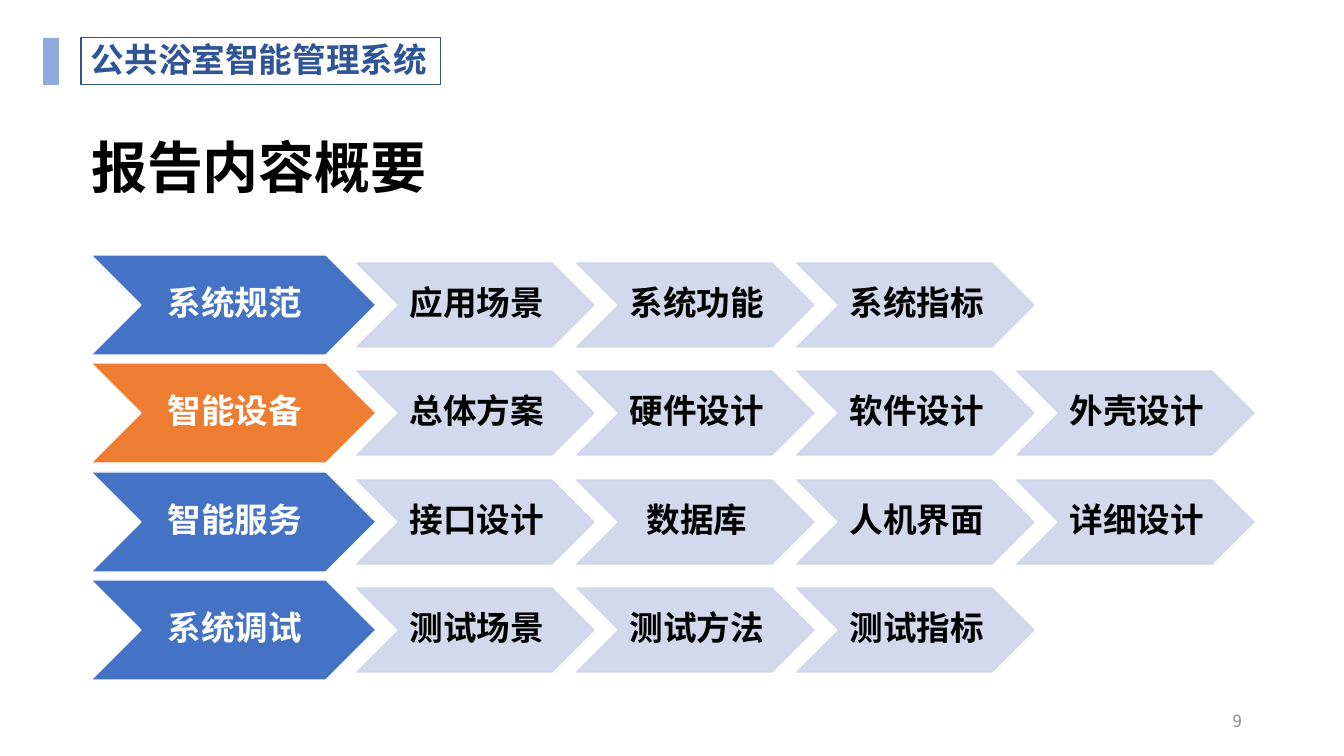
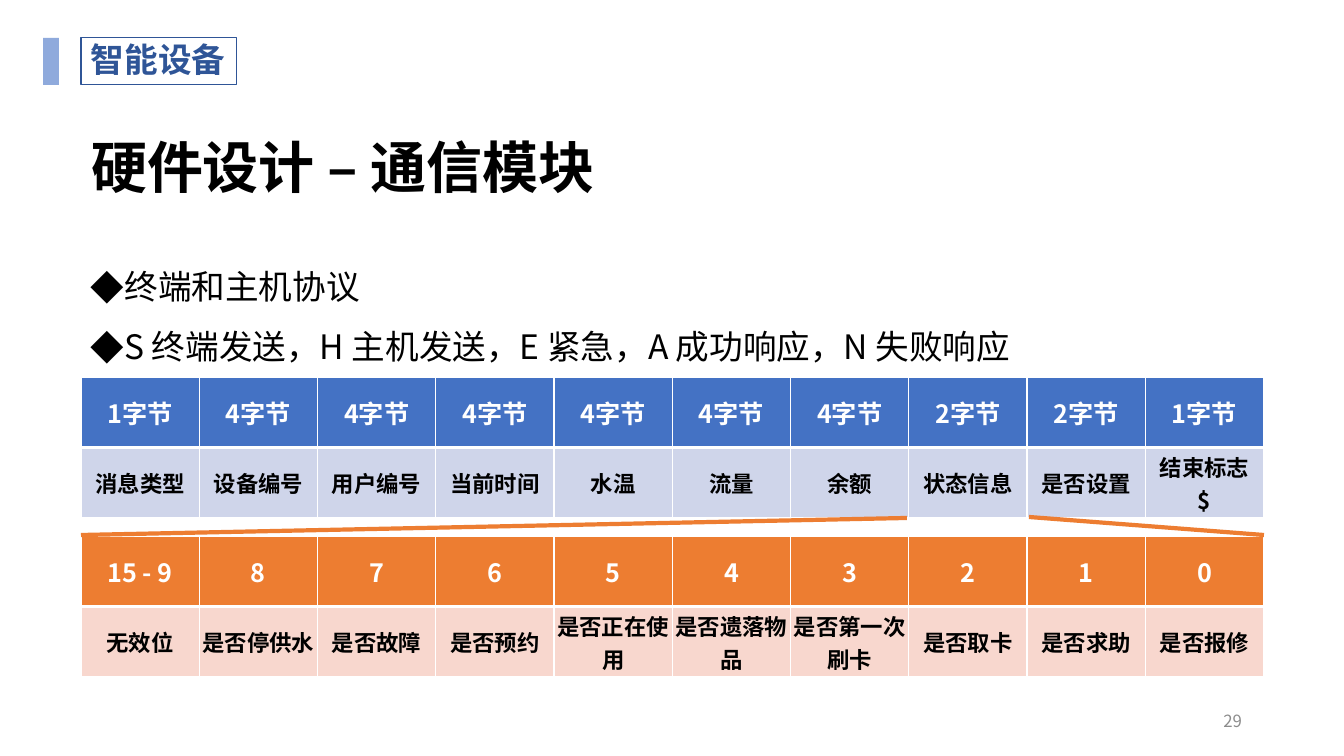
from lxml import etree
from pptx import Presentation
from pptx.dml.color import RGBColor
from pptx.enum.shapes import MSO_CONNECTOR, MSO_SHAPE
from pptx.enum.text import MSO_ANCHOR, MSO_AUTO_SIZE, PP_ALIGN
from pptx.oxml.ns import qn
from pptx.util import Emu, Pt

SLIDE_WIDTH, SLIDE_HEIGHT = 1344, 756
EMU_PER_PX = 12192000 / SLIDE_WIDTH
FONT = "Noto Sans CJK SC"
TITLE_FONT = "Arial"

BLACK = RGBColor(0x00, 0x00, 0x00)
WHITE = RGBColor(0xFF, 0xFF, 0xFF)
GRAY = RGBColor(0x8C, 0x8C, 0x8C)
BLUE = RGBColor(0x44, 0x72, 0xC4)
DARK_BLUE = RGBColor(0x2F, 0x55, 0x97)
LIGHT_BLUE = RGBColor(0x8F, 0xAA, 0xDC)
PALE_BLUE = RGBColor(0xCF, 0xD5, 0xEA)
ORANGE = RGBColor(0xED, 0x7D, 0x31)
PALE_ORANGE = RGBColor(0xF8, 0xD7, 0xCE)

RECTANGLE = MSO_SHAPE.RECTANGLE
CHEVRON = MSO_SHAPE.CHEVRON
STRAIGHT = MSO_CONNECTOR.STRAIGHT
MIDDLE = MSO_ANCHOR.MIDDLE
NO_AUTOFIT = MSO_AUTO_SIZE.NONE
LEFT, CENTER, RIGHT, JUSTIFY = PP_ALIGN.LEFT, PP_ALIGN.CENTER, PP_ALIGN.RIGHT, PP_ALIGN.JUSTIFY


def px(*lengths):
    return [Emu(round(length * EMU_PER_PX)) for length in lengths]


def style(paragraph, size, color, bold=False, alignment=LEFT, latin=FONT):
    paragraph.alignment = alignment
    font = paragraph.font
    font.size, font.bold, font.name = Pt(size), bold, latin
    font.color.rgb = color
    properties = paragraph._p.pPr.find(qn("a:defRPr"))
    etree.SubElement(properties, qn("a:ea"), typeface=FONT)


presentation = Presentation()
presentation.slide_width, presentation.slide_height = px(SLIDE_WIDTH, SLIDE_HEIGHT)
title_only = presentation.slide_layouts[5]

SLIDES = [
    ("公共浴室智能管理系统", 360, "报告内容概要", "9"),
    ("智能设备", 156, "硬件设计 – 通信模块", "29"),
]
for section, section_width, heading, number in SLIDES:
    slide = presentation.slides.add_slide(title_only)

    title = slide.shapes.title
    title.left, title.top, title.width, title.height = px(81, 136, 1183, 61)
    title.text_frame.text = heading
    title.text_frame.vertical_anchor = MIDDLE
    title.text_frame.auto_size = NO_AUTOFIT
    style(title.text_frame.paragraphs[0], 40, BLACK, True, latin=TITLE_FONT)

    bar = slide.shapes.add_shape(RECTANGLE, *px(43, 38, 16, 47))
    bar.shadow.inherit = False
    bar.fill.solid()
    bar.fill.fore_color.rgb = LIGHT_BLUE
    bar.line.fill.background()

    tag = slide.shapes.add_shape(RECTANGLE, *px(81, 38, section_width, 47))
    tag.shadow.inherit = False
    tag.fill.background()
    tag.line.color.rgb = DARK_BLUE
    tag.line.width = Pt(0.75)
    frame = tag.text_frame
    frame.text = section
    frame.word_wrap = False
    frame.vertical_anchor = MIDDLE
    frame.margin_top = frame.margin_bottom = 0
    frame.paragraphs[0].line_spacing = 0.9
    style(frame.paragraphs[0], 24, DARK_BLUE, True)

    page = slide.shapes.add_textbox(*px(950, 701, 302, 40))
    page.text_frame.text = number
    page.text_frame.word_wrap = True
    page.text_frame.vertical_anchor = MIDDLE
    style(page.text_frame.paragraphs[0], 12, GRAY, alignment=RIGHT)

overview, protocol = presentation.slides

CHAPTERS = [
    ("系统规范", BLUE, ["应用场景", "系统功能", "系统指标"]),
    ("智能设备", ORANGE, ["总体方案", "硬件设计", "软件设计", "外壳设计"]),
    ("智能服务", BLUE, ["接口设计", "数据库", "人机界面", "详细设计"]),
    ("系统调试", BLUE, ["测试场景", "测试方法", "测试指标"]),
]
for row, (chapter, chapter_color, topics) in enumerate(CHAPTERS):
    top = 255 + row * 217 // 2
    chevrons = [(chapter, 91, top, 285, 100, chapter_color, WHITE, WHITE)]
    for column, topic in enumerate(topics):
        chevrons.append((topic, 357 + 220 * column, top + 8, 237, 84, PALE_BLUE, PALE_BLUE, BLACK))
    for label, left, upper, width, height, fill, outline, text_color in chevrons:
        chevron = overview.shapes.add_shape(CHEVRON, *px(left, upper, width, height))
        chevron.shadow.inherit = False
        chevron.fill.solid()
        chevron.fill.fore_color.rgb = fill
        chevron.line.color.rgb = outline
        chevron.line.width = Pt(1)
        if fill == PALE_BLUE:
            for color in chevron.element.spPr.iter(qn("a:srgbClr")):
                etree.SubElement(color, qn("a:alpha"), val="90000")
        frame = chevron.text_frame
        frame.text = label
        frame.word_wrap = True
        frame.vertical_anchor = MIDDLE
        frame.margin_left, frame.margin_top, frame.margin_right, frame.margin_bottom = px(3, 2, 0, 2)
        frame.paragraphs[0].line_spacing = 0.9
        style(frame.paragraphs[0], 24, text_color, True, CENTER)

notes = protocol.shapes.add_textbox(*px(81, 238, 1183, 480))
frame = notes.text_frame
frame.word_wrap = True
frame.margin_top = px(8)[0]
frame.text = "终端和主机协议\nS 终端发送，H 主机发送，E 紧急，A 成功响应，N 失败响应"
bullet_indent = px(33)[0]
for paragraph in frame.paragraphs:
    paragraph.line_spacing = Pt(43)
    properties = paragraph._p.get_or_add_pPr()
    properties.set("marL", str(bullet_indent))
    properties.set("indent", str(-bullet_indent))
    etree.SubElement(properties, qn("a:buFont"), typeface=FONT)
    etree.SubElement(properties, qn("a:buChar"), char="◆")
    style(paragraph, 24, BLACK, alignment=JUSTIFY)

MESSAGE_FIELDS = [
    [f"{size}字节" for size in (1, 4, 4, 4, 4, 4, 4, 2, 2, 1)],
    ["消息类型", "设备编号", "用户编号", "当前时间", "水温", "流量", "余额", "状态信息", "是否设置", "结束标志$"],
]
STATUS_BITS = [
    ["15 - 9", "8", "7", "6", "5", "4", "3", "2", "1", "0"],
    ["无效位", "是否停供水", "是否故障", "是否预约", "是否正在使用", "是否遗落物品",
     "是否第一次刷卡", "是否取卡", "是否求助", "是否报修"],
]
TABLES = [
    (377, MESSAGE_FIELDS, (BLUE, PALE_BLUE), 10),
    (536, STATUS_BITS, (ORANGE, PALE_ORANGE), 1),
]
ROW_FONTS = [(18, WHITE), (16, BLACK)]
ROW_BORDERS = [
    {"a:lnL": 1, "a:lnR": 1, "a:lnT": 1, "a:lnB": 3},
    {"a:lnL": 1, "a:lnR": 1, "a:lnT": 3, "a:lnB": 1},
]
for top, rows, fills, side_margin in TABLES:
    table = protocol.shapes.add_table(2, 10, *px(81, top, 1183, 141)).table
    table.horz_banding = False
    for row, labels in enumerate(rows):
        size, text_color = ROW_FONTS[row]
        for column, label in enumerate(labels):
            cell = table.cell(row, column)
            cell.text = label
            cell.vertical_anchor = MIDDLE
            cell.margin_left, cell.margin_right = px(side_margin, side_margin)
            cell.margin_top, cell.margin_bottom = px(1, 0)
            properties = cell._tc.get_or_add_tcPr()
            for edge, width in ROW_BORDERS[row].items():
                border = etree.SubElement(properties, qn(edge), w=str(Pt(width)))
                border_fill = etree.SubElement(border, qn("a:solidFill"))
                etree.SubElement(border_fill, qn("a:srgbClr"), val=str(WHITE))
            cell.fill.solid()
            cell.fill.fore_color.rgb = fills[row]
            style(cell.text_frame.paragraphs[0], size, text_color, True, CENTER)

for ends in ((81, 535, 907, 518), (1264, 535, 1029, 517)):
    connector = protocol.shapes.add_connector(STRAIGHT, *px(*ends))
    connector.line.color.rgb = ORANGE
    connector.line.width = Pt(3)
    etree.SubElement(connector._element.spPr, qn("a:effectLst"))

presentation.save("out.pptx")
